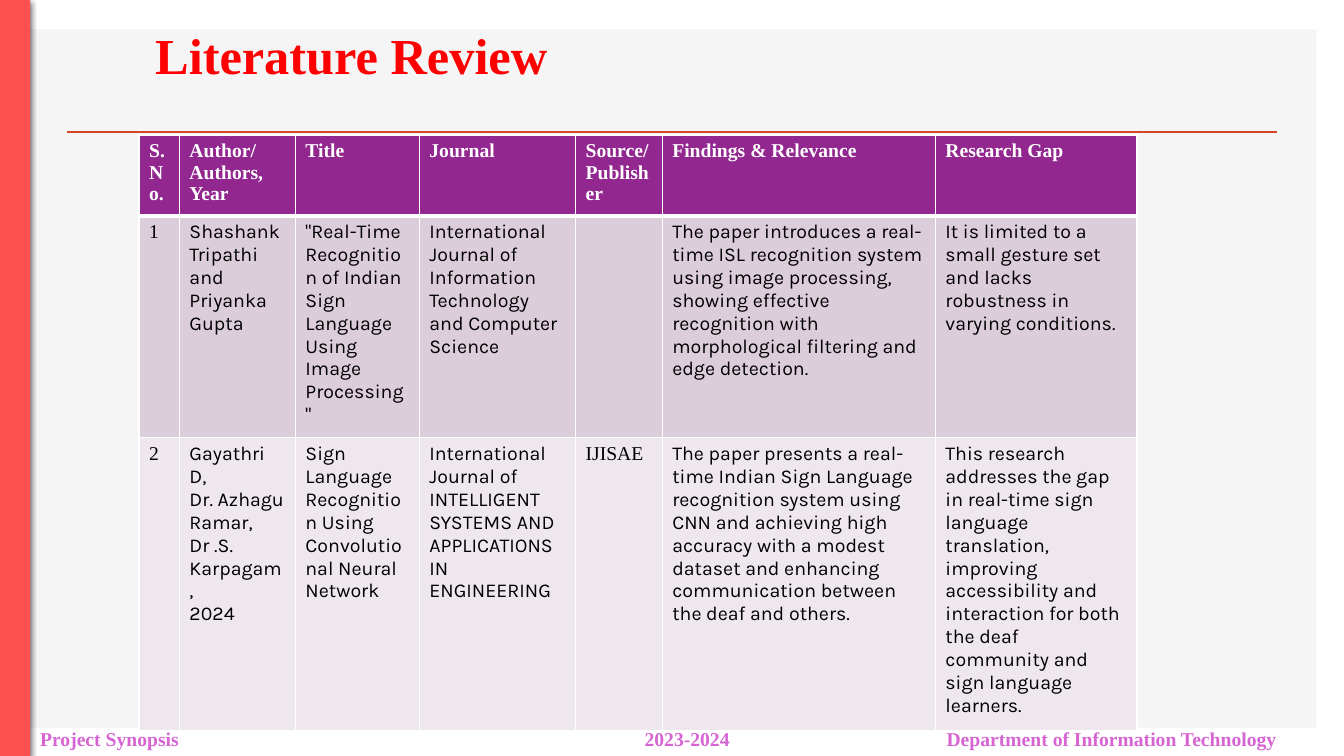
"""Build the literature review slide with its table of papers."""
from dataclasses import astuple, dataclass
from typing import Any

import lxml.etree
import pptx
import pptx.dml.color
import pptx.enum.shapes
import pptx.enum.text
import pptx.oxml.ns
import pptx.util

Pt = pptx.util.Pt
RGB = pptx.dml.color.RGBColor
qn = pptx.oxml.ns.qn
ANCHOR = pptx.enum.text.MSO_ANCHOR

WHITE = RGB(0xFF, 0xFF, 0xFF)
BLACK = RGB(0x00, 0x00, 0x00)
RED = RGB(0xFF, 0x00, 0x00)
CORAL = RGB(0xFF, 0x50, 0x50)
ORANGE = RGB(0xD2, 0x47, 0x26)
PALE_GREY = RGB(0xF5, 0xF5, 0xF5)
ORCHID = RGB(0xD6, 0x65, 0xD3)
PURPLE = RGB(0x92, 0x27, 0x8F)
ROW_FILLS = (RGB(0xDC, 0xCD, 0xDB), RGB(0xEE, 0xE8, 0xEE))

SERIF = "Times New Roman"
SANS = "Karla"


@dataclass(frozen=True)
class Box:
    left: float
    top: float
    width: float
    height: float

    def lengths(self) -> list[int]:
        return [Pt(length) for length in astuple(self)]


@dataclass(frozen=True)
class Column:
    heading: str
    width: float
    font: str = SANS


@dataclass(frozen=True)
class Paper:
    number: str
    authors: str
    title: str
    journal: str
    publisher: str
    findings: str
    gap: str


COLUMNS = (
    Column("S. No.", 28.8, SERIF),
    Column("Author/ Authors, Year", 82.8),
    Column("Title", 88.56),
    Column("Journal", 111.6),
    Column("Source/ Publisher", 61.92, SERIF),
    Column("Findings & Relevance", 195.12),
    Column("Research Gap", 144),
)
ROW_HEIGHTS = (55.44, 100.8, 135.36)
PAPERS = (
    Paper(
        "1",
        "Shashank Tripathi and Priyanka Gupta",
        '"Real-Time Recognition of Indian Sign Language Using Image Processing"',
        "International Journal of Information Technology and Computer Science",
        "",
        "The paper introduces a real-time ISL recognition system using image processing, "
        "showing effective recognition with morphological filtering and edge detection.",
        "It is limited to a small gesture set and lacks robustness in varying conditions.",
    ),
    Paper(
        "2",
        "Gayathri D,\nDr. Azhagu Ramar,\nDr .S. Karpagam,\n2024",
        "Sign Language Recognition Using Convolutional Neural Network",
        "International Journal of INTELLIGENT SYSTEMS AND APPLICATIONS IN ENGINEERING",
        "IJISAE",
        "The paper presents a real-time Indian Sign Language recognition system using CNN and "
        "achieving high accuracy with a modest dataset and enhancing communication between "
        "the deaf and others.",
        "This research addresses the gap in real-time sign language translation, improving "
        "accessibility and interaction for both the deaf community and sign language learners.",
    ),
)


def write(frame: Any, text: str, *, font: str = SERIF, size: float = 14, color: RGB = BLACK,
          bold: bool = False, spacing: float | None = None) -> None:
    frame.text = text
    frame.word_wrap = True
    for paragraph in frame.paragraphs:
        paragraph.alignment = pptx.enum.text.PP_ALIGN.LEFT
        paragraph.line_spacing = spacing
        for run in paragraph.runs:
            run.font.name = font
            run.font.size = Pt(size)
            run.font.bold = bold
            run.font.color.rgb = color


def add_block(slide: Any, box: Box, color: RGB) -> Any:
    block = slide.shapes.add_shape(pptx.enum.shapes.MSO_SHAPE.RECTANGLE, *box.lengths())
    block.shadow.inherit = False
    block.fill.solid()
    block.fill.fore_color.rgb = color
    block.line.fill.background()
    return block


def add_shadow(block: Any) -> None:
    effects = block._element.spPr.find(qn("a:effectLst"))
    shadow = lxml.etree.SubElement(effects, qn("a:outerShdw"), blurRad=str(Pt(4.5)),
                                   dist=str(Pt(1.5)), dir="5400000", rotWithShape="0")
    tint = lxml.etree.SubElement(shadow, qn("a:srgbClr"), val=str(BLACK))
    lxml.etree.SubElement(tint, qn("a:alpha"), val="63000")


def add_rule(slide: Any, left: float, right: float, y: float) -> None:
    rule = slide.shapes.add_connector(pptx.enum.shapes.MSO_CONNECTOR.STRAIGHT,
                                      Pt(left), Pt(y), Pt(right), Pt(y))
    rule.line.color.rgb = ORANGE
    rule.line.width = Pt(2)
    lxml.etree.SubElement(rule._element.spPr, qn("a:effectLst"))


def place_title(slide: Any, box: Box, text: str) -> None:
    title = slide.shapes.title
    title.left, title.top, title.width, title.height = box.lengths()
    write(title.text_frame, text, size=36, color=RED, bold=True, spacing=0.9)
    title.text_frame.vertical_anchor = ANCHOR.TOP
    title.text_frame.margin_top = 0
    slide.shapes._spTree.append(title._element)


def add_footer(slide: Any, box: Box, text: str, stops: dict[str, float]) -> None:
    footer = slide.shapes.add_textbox(*box.lengths()).text_frame
    write(footer, text, color=ORCHID, bold=True, spacing=0.9)
    footer.vertical_anchor = ANCHOR.MIDDLE
    properties = footer.paragraphs[0]._p.get_or_add_pPr()
    tabs = lxml.etree.SubElement(properties, qn("a:tabLst"))
    for alignment, position in stops.items():
        lxml.etree.SubElement(tabs, qn("a:tab"), pos=str(Pt(position)), algn=alignment)


def style_cell(cell: Any, fill: RGB, bottom_border: float) -> None:
    cell.fill.solid()
    cell.fill.fore_color.rgb = fill
    properties = cell._tc.get_or_add_tcPr()
    borders = {"a:lnL": 1, "a:lnR": 1, "a:lnT": 1, "a:lnB": bottom_border}
    for index, (side, width) in enumerate(borders.items()):
        border = lxml.etree.Element(qn(side), w=str(Pt(width)))
        paint = lxml.etree.SubElement(border, qn("a:solidFill"))
        lxml.etree.SubElement(paint, qn("a:srgbClr"), val=str(WHITE))
        properties.insert(index, border)


def add_review(slide: Any, left: float, top: float) -> None:
    box = Box(left, top, sum(column.width for column in COLUMNS), sum(ROW_HEIGHTS))
    review = slide.shapes.add_table(len(ROW_HEIGHTS), len(COLUMNS), *box.lengths()).table
    for row, height in zip(review.rows, ROW_HEIGHTS):
        row.height = Pt(height)
    for index, column in enumerate(COLUMNS):
        review.columns[index].width = Pt(column.width)
        heading = review.cell(0, index)
        write(heading.text_frame, column.heading, color=WHITE, bold=True)
        style_cell(heading, PURPLE, 3)
        for number, (paper, fill) in enumerate(zip(PAPERS, ROW_FILLS), start=1):
            entry = review.cell(number, index)
            write(entry.text_frame, astuple(paper)[index], font=column.font)
            style_cell(entry, fill, 1)


def main() -> None:
    deck = pptx.Presentation()
    deck.slide_width, deck.slide_height = Pt(960), Pt(540)
    slide = deck.slides.add_slide(deck.slide_layouts[5])
    add_block(slide, Box(20.16, 20.88, 920.16, 498.96), PALE_GREY)
    add_rule(slide, 47.52, 912.24, 94.32)
    place_title(slide, Box(103.68, 22.32, 808.56, 74.16), "Literature Review")
    add_shadow(add_block(slide, Box(0, 0, 21.6, 540), CORAL))
    add_footer(slide, Box(21.6, 517.68, 916.56, 22.32),
               "Project Synopsis\t2023-2024\tDepartment of Information Technology",
               {"ctr": 462.2, "r": 883.4})
    add_review(slide, 99.36, 96.48)
    deck.save("out.pptx")


if __name__ == "__main__":
    main()
